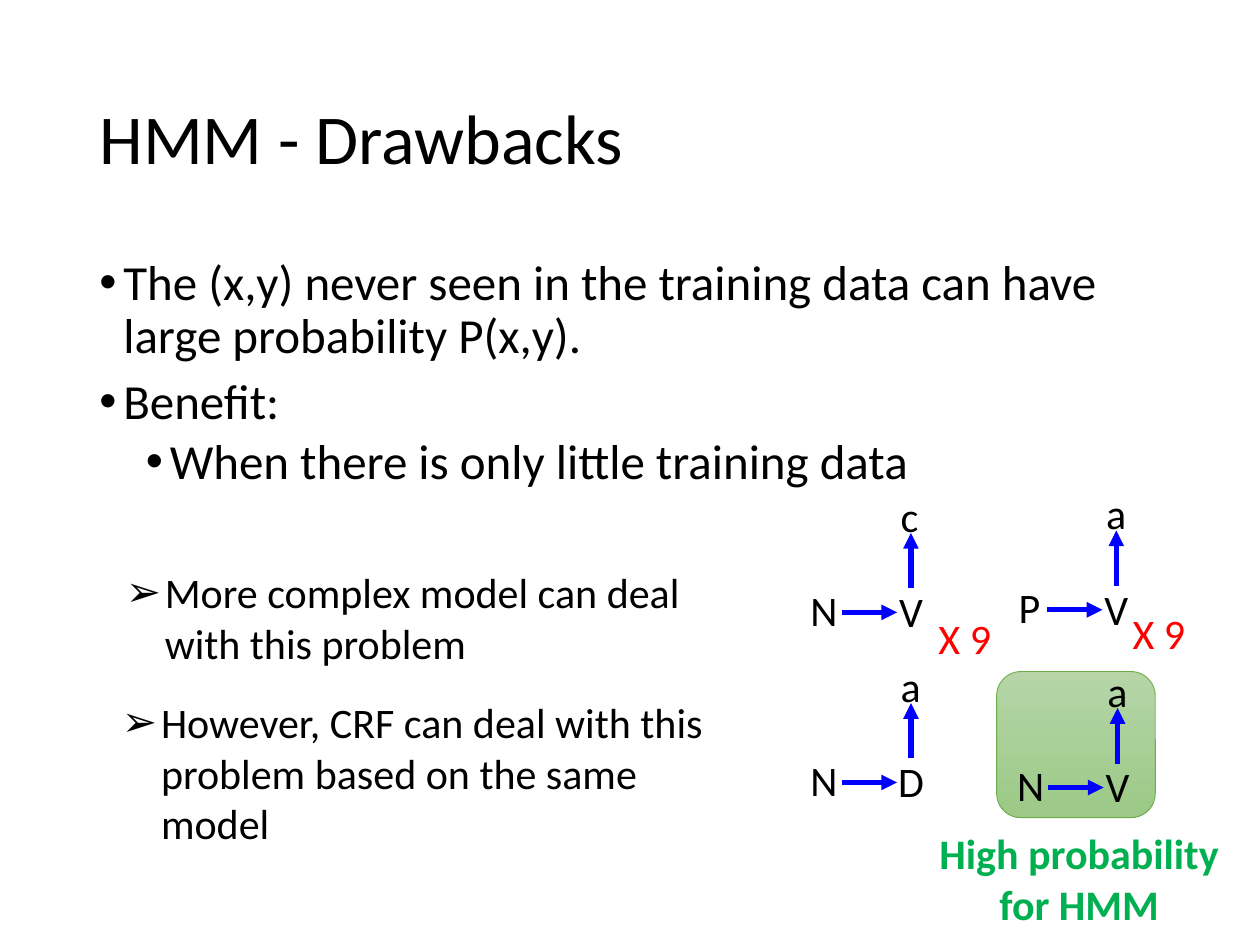
import pptx
import pptx.util
import pptx.dml.color
import pptx.enum.shapes
import pptx.enum.text
import pptx.oxml.ns
from lxml import etree
from pptx.util import Inches

COLORS = {
    "text": "000000", "arrow": "0000FF", "count": "FF0000", "verdict": "00B050",
    "card_top": "B5D5A7", "card_bottom": "9CC987", "card_line": "70AD47",
}
FONT = "Calibri"
ALIGN = pptx.enum.text.PP_ALIGN


def rgb(name):
    """Return the named colour."""
    return pptx.dml.color.RGBColor.from_string(COLORS[name])


def add_span(para, text, size=24, color="text", bold=False):
    """Add one formatted run."""
    span = para.add_run()
    span.text = text
    span.font.name = FONT
    span.font.size = pptx.util.Pt(size)
    span.font.bold = bold
    span.font.color.rgb = rgb(color)


def add_box(shapes, left, top, width, height):
    """Add an empty wrapping text box and return it."""
    box = shapes.add_textbox(Inches(left), Inches(top), Inches(width), Inches(height))
    box.text_frame.word_wrap = True
    return box


def add_label(shapes, place, text, align=ALIGN.LEFT, color="text", bold=False):
    """Add a one-paragraph text box that grows with its text."""
    box = add_box(shapes, *place)
    box.text_frame.auto_size = pptx.enum.text.MSO_AUTO_SIZE.SHAPE_TO_FIT_TEXT
    para = box.text_frame.paragraphs[0]
    para.alignment = align
    add_span(para, text, color=color, bold=bold)
    return box


def set_bullet(para, mark, margin, hang):
    """Give a paragraph a hanging bullet."""
    properties = para._p.get_or_add_pPr()
    properties.set("marL", str(Inches(margin)))
    properties.set("indent", str(-Inches(hang)))
    qualify = pptx.oxml.ns.qn
    etree.SubElement(properties, qualify("a:buFont")).set("typeface", "Arial")
    etree.SubElement(properties, qualify("a:buChar")).set("char", mark)


def add_title(page, text):
    """Place and format the title."""
    title = page.shapes.title
    title.left, title.top = Inches(0.69), Inches(0.4)
    title.width, title.height = Inches(8.62), Inches(1.45)
    title.text_frame.vertical_anchor = pptx.enum.text.MSO_ANCHOR.MIDDLE
    para = title.text_frame.paragraphs[0]
    para.alignment = ALIGN.LEFT
    para.line_spacing = 0.9
    add_span(para, text, size=40)


def add_body(page, items):
    """Add the main bullet list from (level, text) pairs."""
    frame = add_box(page.shapes, 0.69, 2, 8.62, 4.76).text_frame
    for index, (level, text) in enumerate(items):
        para = frame.add_paragraph() if index else frame.paragraphs[0]
        para.level = level
        para.line_spacing = 0.9
        para.space_before = pptx.util.Pt(3.8 if level else 7.5)
        set_bullet(para, "•", 0.19 + 0.37 * level, 0.19)
        add_span(para, text, size=28)


def add_arrow(shapes, start, end):
    """Add a straight arrow between two points."""
    points = [Inches(value) for value in (*start, *end)]
    arrow = shapes.add_connector(pptx.enum.shapes.MSO_CONNECTOR.STRAIGHT, *points)
    arrow.line.color.rgb = rgb("arrow")
    arrow.line.width = pptx.util.Pt(3)
    qualify = pptx.oxml.ns.qn
    properties = arrow._element.spPr
    line = properties.find(qualify("a:ln"))
    etree.SubElement(line, qualify("a:tailEnd")).set("type", "triangle")
    etree.SubElement(properties, qualify("a:effectLst"))


def add_transition(page, left, top, source, target, word):
    """Group a tag, the tag that follows it and the word it emits."""
    shapes = page.shapes.add_group_shape().shapes
    add_label(shapes, (left, top, 0.88, 0.5), source, ALIGN.CENTER)
    add_label(shapes, (left + 0.69, top + 0.01, 0.88, 0.5), target, ALIGN.CENTER)
    add_label(shapes, (left + 0.95, top - 0.75, 0.44, 0.5), word)
    add_arrow(shapes, (left + 0.58, top + 0.27), (left + 1.02, top + 0.27))
    add_arrow(shapes, (left + 1.13, top + 0.08), (left + 1.13, top - 0.36))


def add_card(page):
    """Add the green highlight card."""
    card = page.shapes.add_shape(
        pptx.enum.shapes.MSO_SHAPE.ROUNDED_RECTANGLE,
        Inches(7.91), Inches(5.33), Inches(1.26), Inches(1.16))
    card.shadow.inherit = False
    card.fill.gradient()
    card.fill.gradient_angle = 270
    for stop, name, position in zip(card.fill.gradient_stops, ("card_top", "card_bottom"), (0, 1)):
        stop.color.rgb = rgb(name)
        stop.position = position
    card.line.color.rgb = rgb("card_line")
    card.line.width = pptx.util.Pt(0.5)


def add_remark(page, place, text):
    """Add a remark with an arrowhead bullet."""
    box = add_label(page.shapes, place, text)
    set_bullet(box.text_frame.paragraphs[0], "➢", 0.31, 0.31)


def main():
    """Build the slide and save it."""
    deck = pptx.Presentation()
    deck.slide_width, deck.slide_height = Inches(10), Inches(7.5)
    page = deck.slides.add_slide(deck.slide_layouts[5])
    add_title(page, "HMM - Drawbacks")
    add_body(page, [
        (0, "The (x,y) never seen in the training data can have large probability P(x,y)."),
        (0, "Benefit:"),
        (1, "When there is only little training data"),
    ])
    add_card(page)
    for transition in (
        (6.1, 4.59, "N", "V", "c"),
        (7.73, 4.57, "P", "V", "a"),
        (6.1, 5.94, "N", "D", "a"),
        (7.74, 5.98, "N", "V", "a"),
    ):
        add_transition(page, *transition)
    for left, top in ((7.35, 4.81), (8.89, 4.77)):
        add_label(page.shapes, (left, top, 1.14, 0.5), "X 9", color="count")
    add_label(page.shapes, (7.3, 6.52, 2.53, 0.91), "High probability for HMM",
              ALIGN.CENTER, "verdict", True)
    add_remark(page, (0.87, 5.48, 5, 1.31),
               "However, CRF can deal with this problem based on the same model")
    add_remark(page, (0.9, 4.45, 5, 0.91), "More complex model can deal with this problem")
    deck.save("out.pptx")


if __name__ == "__main__":
    main()
